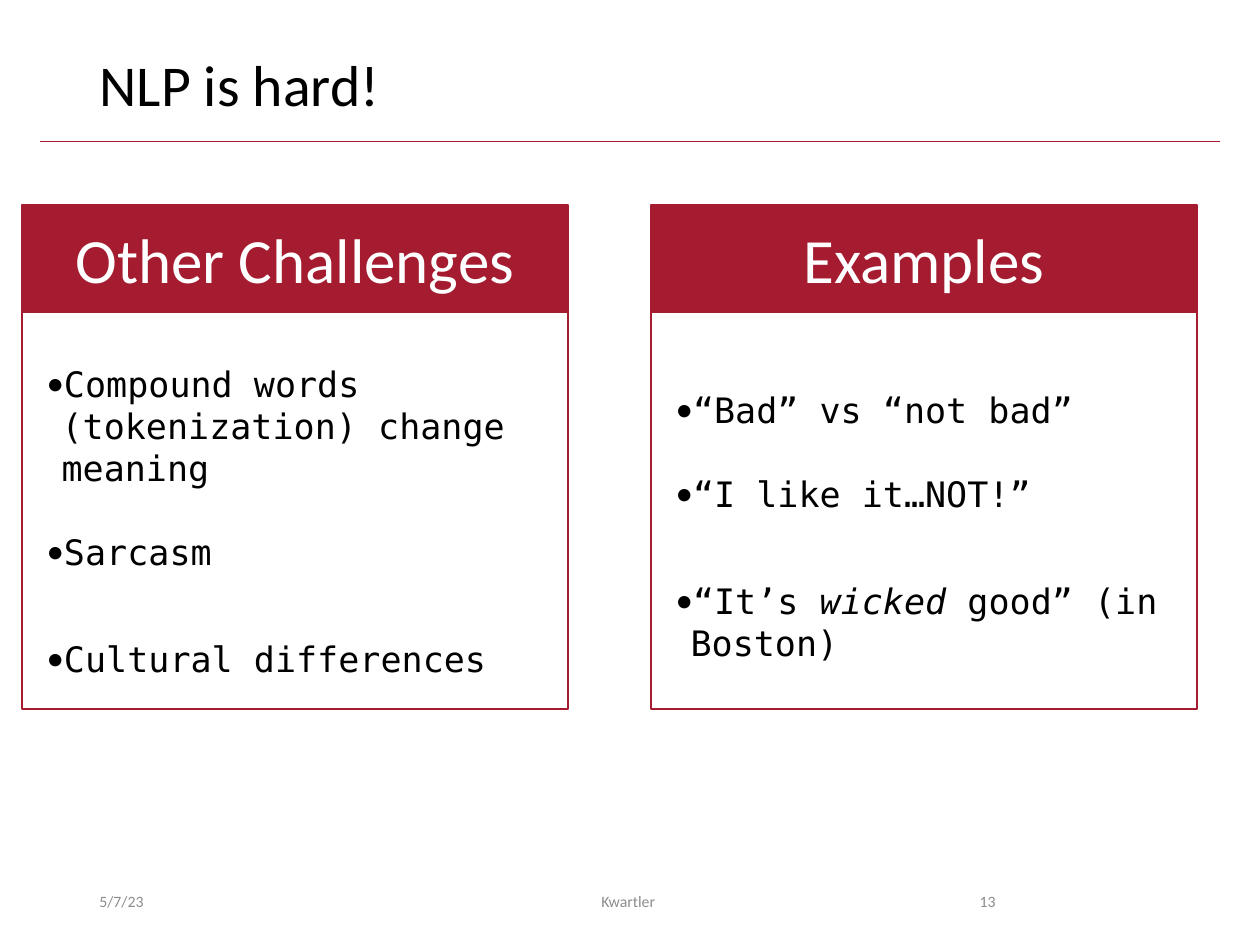
from lxml import etree
from pptx import Presentation
from pptx.dml.color import RGBColor
from pptx.enum.shapes import MSO_CONNECTOR, MSO_SHAPE
from pptx.enum.text import MSO_ANCHOR, MSO_AUTO_SIZE, PP_ALIGN
from pptx.oxml.ns import qn
from pptx.util import Pt

LEFT, CENTER, RIGHT = PP_ALIGN.LEFT, PP_ALIGN.CENTER, PP_ALIGN.RIGHT
TOP, MIDDLE = MSO_ANCHOR.TOP, MSO_ANCHOR.MIDDLE
RECTANGLE = MSO_SHAPE.RECTANGLE
STRAIGHT = MSO_CONNECTOR.STRAIGHT
NO_FIT = MSO_AUTO_SIZE.NONE

EMU_PER_PX = 914400 / 126
TWO_CONTENT = 3


def px(length):
    return round(length * EMU_PER_PX)


class Deck:
    colors = {"crimson": "A51C30", "black": "000000", "white": "FFFFFF", "grey": "8C8C8C"}
    sans = "Calibri"
    mono = "DejaVu Sans Mono"
    hanging = 15

    def __init__(self, width, height):
        self.presentation = Presentation()
        self.presentation.slide_width = px(width)
        self.presentation.slide_height = px(height)
        self.slide = self.presentation.slides.add_slide(
            self.presentation.slide_layouts[TWO_CONTENT])

    def color(self, name):
        return RGBColor.from_string(self.colors[name])

    def place(self, shape, left, top, width, height):
        shape.left, shape.top = px(left), px(top)
        shape.width, shape.height = px(width), px(height)

    def prepare(self, shape, anchor):
        frame = shape.text_frame
        frame.word_wrap = True
        frame.auto_size = NO_FIT
        frame.vertical_anchor = anchor
        return frame

    def run(self, paragraph, text, font, size, color, italic=False):
        run = paragraph.add_run()
        run.text = text
        run.font.name = font
        run.font.size = Pt(size)
        run.font.italic = italic
        run.font.color.rgb = self.color(color)

    def title(self, text, *box):
        heading = self.slide.shapes.title
        self.place(heading, *box)
        paragraph = self.prepare(heading, TOP).paragraphs[0]
        paragraph.alignment = LEFT
        paragraph.line_spacing = 0.9
        self.run(paragraph, text, self.sans, 33, "black")

    def rule(self, left, right, y):
        line = self.slide.shapes.add_connector(STRAIGHT, px(left), px(y), px(right), px(y))
        line.line.color.rgb = self.color("crimson")
        line.line.width = Pt(0.5)
        etree.SubElement(line._element.spPr, qn("a:effectLst"))

    def footer(self, text, alignment, *box):
        label = self.slide.shapes.add_textbox(*map(px, box))
        paragraph = self.prepare(label, MIDDLE).paragraphs[0]
        paragraph.alignment = alignment
        self.run(paragraph, text, self.sans, 9, "grey")

    def bullets(self, index, items, *box):
        body = self.slide.placeholders[index]
        self.place(body, *box)
        frame = self.prepare(body, TOP)
        for number, (gap, parts) in enumerate(items):
            paragraph = frame.add_paragraph() if number else frame.paragraphs[0]
            properties = paragraph._p.get_or_add_pPr()
            properties.set("marL", str(px(self.hanging)))
            properties.set("indent", str(-px(self.hanging)))
            etree.SubElement(properties, qn("a:buFont")).set("typeface", self.sans)
            etree.SubElement(properties, qn("a:buChar")).set("char", "•")
            paragraph.alignment = LEFT
            paragraph.space_before = Pt(gap)
            for text, italic in parts:
                self.run(paragraph, text, self.mono, 20, "black", italic)

    def rectangle(self, filled, *box):
        shape = self.slide.shapes.add_shape(RECTANGLE, *map(px, box))
        shape.shadow.inherit = False
        if filled:
            shape.fill.solid()
            shape.fill.fore_color.rgb = self.color("crimson")
        else:
            shape.fill.background()
        shape.line.color.rgb = self.color("crimson")
        shape.line.width = Pt(1)
        return shape

    def panel(self, heading, left):
        header = self.rectangle(True, left, 205, 546, 107)
        paragraph = self.prepare(header, MIDDLE).paragraphs[0]
        paragraph.alignment = CENTER
        self.run(paragraph, heading, self.sans, 36, "white")
        self.rectangle(False, left, 224, 546, 485)


def main():
    deck = Deck(1260, 945)
    deck.title("NLP is hard!", 87, 50, 1086, 82)
    deck.rule(40, 1220, 141)

    challenges = [
        (0, [("Compound words (tokenization) change meaning", False)]),
        (24, [("Sarcasm", False)]),
        (37, [("Cultural differences", False)]),
    ]
    examples = [
        (0, [("“Bad” vs “not bad”", False)]),
        (24, [("“I like it…NOT!”", False)]),
        (37, [("“It’s ", False), ("wicked", True), (" good” (in Boston)", False)]),
    ]
    columns = [
        ("Other Challenges", challenges, 22, 356, 291),
        ("Examples", examples, 651, 382, 248),
    ]
    for index, (heading, items, left, top, height) in enumerate(columns, start=1):
        deck.bullets(index, items, left + 12, top, 523, height)
        deck.panel(heading, left)

    deck.footer("5/7/23", LEFT, 87, 876, 284, 50)
    deck.footer("Kwartler ", CENTER, 417, 876, 426, 50)
    deck.footer("13", RIGHT, 890, 876, 118, 50)
    deck.presentation.save("out.pptx")


if __name__ == "__main__":
    main()
